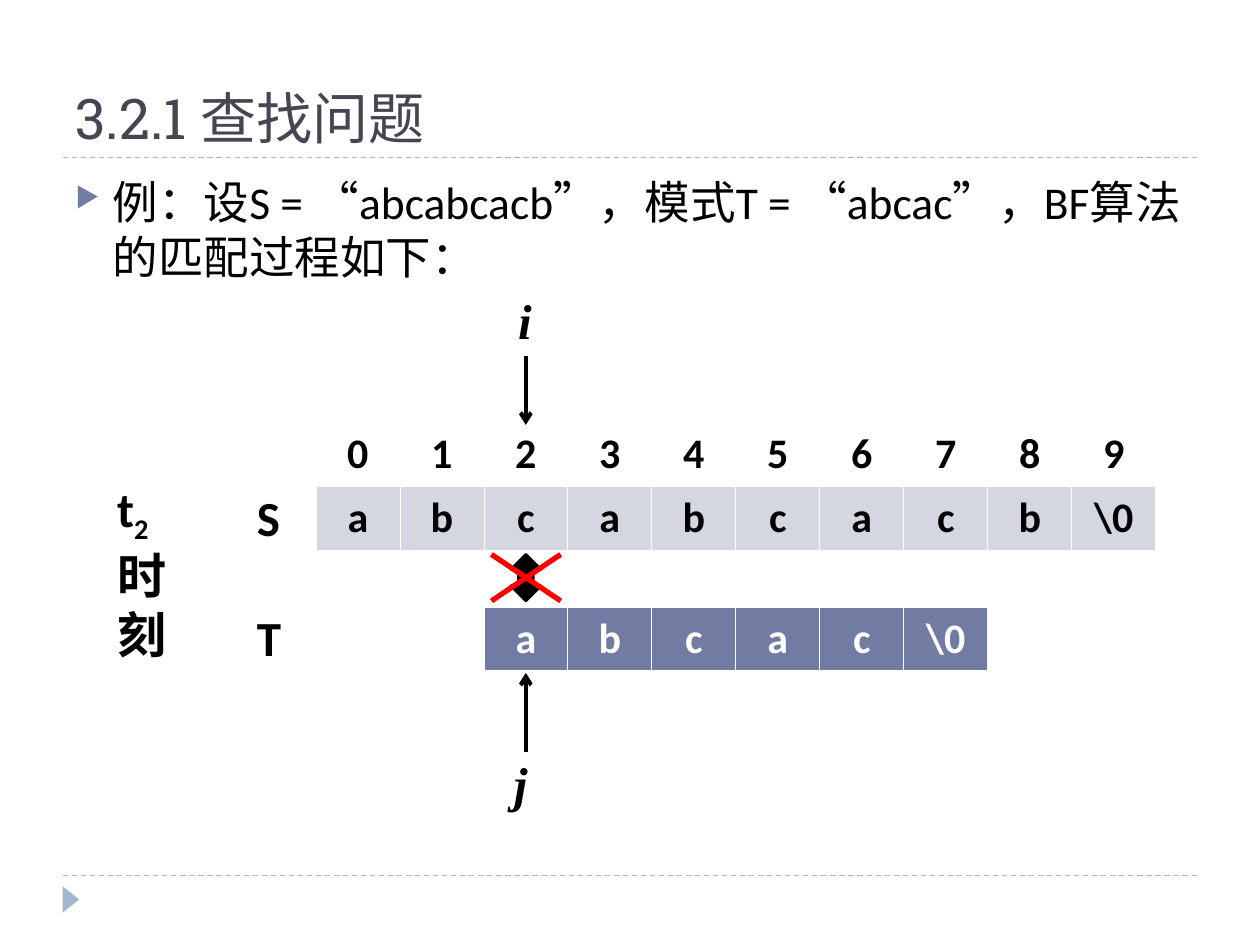
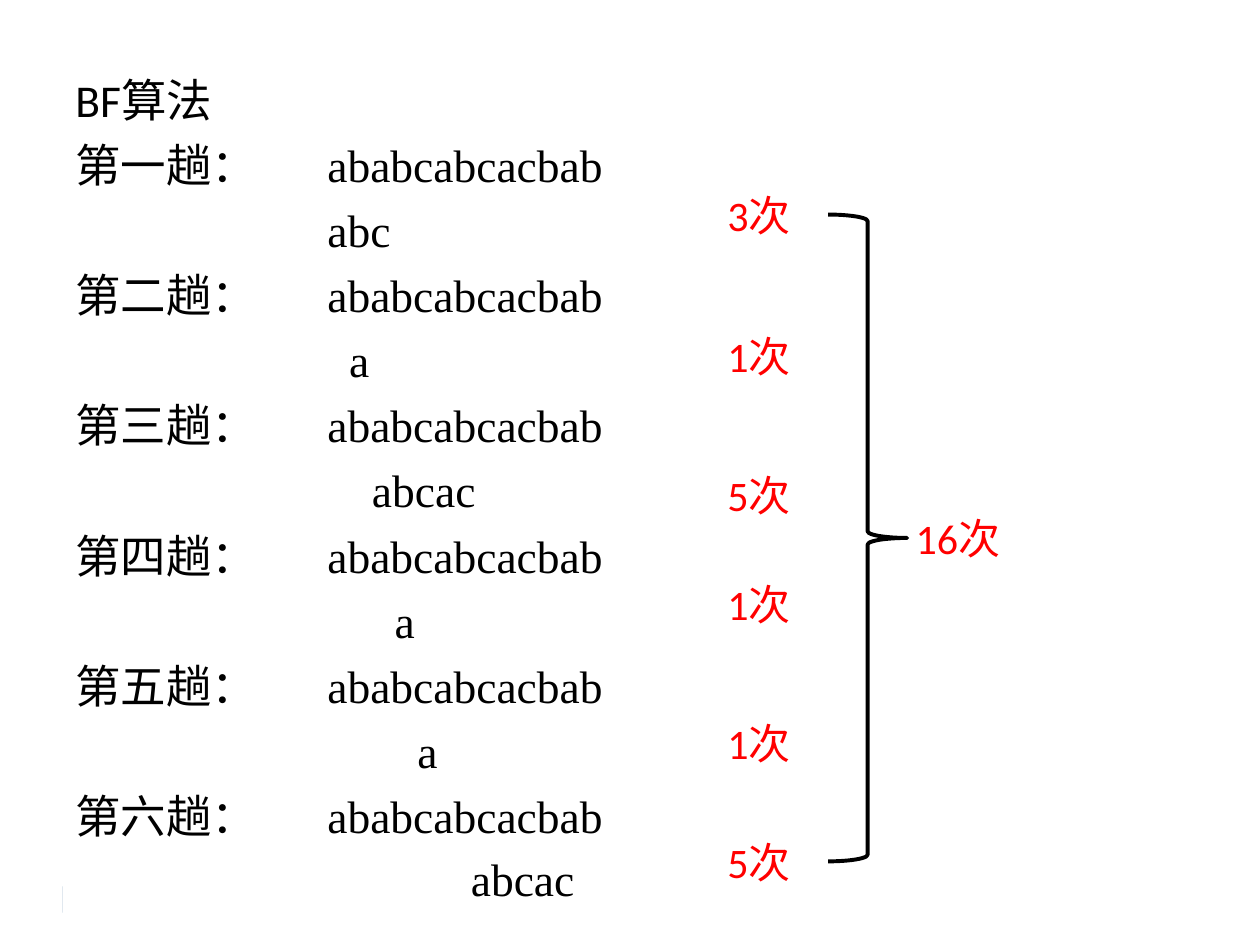
from dataclasses import dataclass

from lxml.etree import SubElement
from pptx import Presentation
from pptx.dml.color import RGBColor
from pptx.enum.dml import MSO_LINE
from pptx.enum.shapes import MSO_CONNECTOR, MSO_SHAPE
from pptx.enum.text import MSO_ANCHOR, MSO_AUTO_SIZE, PP_ALIGN
from pptx.oxml.ns import qn
from pptx.util import Pt

COLORS = {
    "black": "000000",
    "white": "FFFFFF",
    "red": "FF0000",
    "title": "464653",
    "accent": "727CA3",
    "frame": "9FB8CD",
    "pale": "D5D7E0",
}

TITLE = {"name": "Roboto Slab", "size": Pt(32), "color": "title"}
BODY = {"name": "Calibri", "size": Pt(26), "color": "black"}
SERIF = {**BODY, "name": "Times New Roman"}
LABEL = {"name": "Calibri", "size": Pt(28), "bold": True, "color": "black"}
POINTER = {**LABEL, "name": "Times New Roman", "italic": True}
CELL = {"name": "Calibri", "size": Pt(24), "bold": True, "color": "black"}
CELL_LIGHT = {**CELL, "color": "white"}
COUNT = {"name": "Calibri", "size": Pt(24), "color": "red"}

CELL_WIDTH, CELL_HEIGHT = 48, 36
GRID_LEFT, S_TOP, T_TOP = 180.5, 241.2, 347
MATCH_START = 2
POINTER_X = GRID_LEFT + (MATCH_START + 0.5) * CELL_WIDTH
THIN_BORDER, THICK_BORDER = 0.45, 1.47
STRING_TAB, SHIFT_START, SHIFT_STEP = 144, 143.5, 13


@dataclass
class Box:
    left: float
    top: float
    width: float
    height: float

    def lengths(self) -> tuple:
        return tuple(Pt(value) for value in (self.left, self.top, self.width, self.height))


@dataclass
class Label:
    lines: list[str]
    box: Box
    formats: dict
    wrap: bool = False


@dataclass
class Line:
    start: tuple[float, float]
    end: tuple[float, float]
    color: str
    width: float
    dashed: bool = False
    arrow: bool = False


@dataclass
class Attempt:
    """One pass of the search: its name, the characters compared, their indent in points."""
    name: str
    compared: str
    indent: float


@dataclass
class StringGrid:
    left: float
    top: float
    rows: list[list[str]]
    fills: list[str]
    formats: dict


FRAME_LINES = [Line((36, y), (684, y), "frame", 0.75, dashed=True) for y in (90, 500.4)]

MATCH_GRIDS = [
    StringGrid(GRID_LEFT, S_TOP, [list("0123456789"), [*"abcabcacb", r"\0"]],
               ["white", "pale"], CELL),
    StringGrid(GRID_LEFT + MATCH_START * CELL_WIDTH, T_TOP, [[*"abcac", r"\0"]],
               ["accent"], CELL_LIGHT),
]

MATCH_LABELS = [
    Label(["S"], Box(139.7, 275.2, 27.4, 41), LABEL),
    Label(["T"], Box(139.7, 343.6, 28, 41), LABEL),
    Label(["j"], Box(286.6, 427.3, 22.3, 41), POINTER, wrap=True),
    Label(["i"], Box(289, 162.7, 22.3, 41), POINTER, wrap=True),
]

MATCH_LINES = [
    Line((280.8, 316.8), (320.4, 343.4), "red", 3),
    Line((320.4, 316.8), (280.8, 343.4), "red", 3),
    Line((POINTER_X, 430), (POINTER_X, 384.5), "black", 2.25, arrow=True),
    Line((POINTER_X, 203.2), (POINTER_X, 242.8), "black", 2.25, arrow=True),
]

ATTEMPTS = [
    Attempt("第一趟：", "abc", STRING_TAB),
    Attempt("第二趟：", "a", SHIFT_START + SHIFT_STEP),
    Attempt("第三趟：", "abcac", SHIFT_START + 2 * SHIFT_STEP),
    Attempt("第四趟：", "a", SHIFT_START + 3 * SHIFT_STEP),
    Attempt("第五趟：", "a", SHIFT_START + 4 * SHIFT_STEP),
    Attempt("第六趟：", "abcac", 226),
]

COUNT_LABELS = [
    Label([f"{count}次"], Box(408.5, top, 56.2, 36), COUNT)
    for count, top in ((3, 104.7), (1, 185.3), (5, 264.5), (1, 327.2), (1, 406.3), (5, 474.7))
] + [Label(["16次"], Box(516.2, 289.4, 68.4, 36), COUNT)]


def color_of(name: str) -> RGBColor:
    return RGBColor.from_string(COLORS[name])


def add_run(paragraph, text: str, formats: dict):
    run = paragraph.add_run()
    run.text = text
    for attribute, value in formats.items():
        if attribute == "color":
            run.font.color.rgb = color_of(value)
        else:
            setattr(run.font, attribute, value)
    return run


def set_indent(paragraph, margin: float, first_line: float = 0) -> None:
    properties = paragraph._p.get_or_add_pPr()
    properties.set("marL", str(Pt(margin)))
    properties.set("indent", str(Pt(first_line)))


def add_bullet(paragraph) -> None:
    properties = paragraph._p.get_or_add_pPr()
    bullet_color = SubElement(properties, qn("a:buClr"))
    SubElement(bullet_color, qn("a:srgbClr")).set("val", COLORS["accent"])
    SubElement(properties, qn("a:buSzPct")).set("val", "61000")
    SubElement(properties, qn("a:buChar")).set("char", "▶")


def add_tab_stop(paragraph, position: float) -> None:
    tab_list = SubElement(paragraph._p.get_or_add_pPr(), qn("a:tabLst"))
    tab = SubElement(tab_list, qn("a:tab"))
    tab.set("pos", str(Pt(position)))
    tab.set("algn", "l")


def add_text_frame(slide, box: Box, wrap: bool = True, grow: bool = False):
    frame = slide.shapes.add_textbox(*box.lengths()).text_frame
    frame.word_wrap = wrap
    frame.auto_size = MSO_AUTO_SIZE.SHAPE_TO_FIT_TEXT if grow else MSO_AUTO_SIZE.NONE
    return frame


def next_paragraph(frame, space_before: float = 0):
    """Return the empty first paragraph, or a new one with space before it."""
    if not frame.paragraphs[0].runs:
        return frame.paragraphs[0]
    paragraph = frame.add_paragraph()
    paragraph.space_before = Pt(space_before)
    return paragraph


def add_label(slide, label: Label):
    frame = add_text_frame(slide, label.box, label.wrap, grow=True)
    for line in label.lines:
        add_run(next_paragraph(frame), line, label.formats)
    return frame


def add_line(slide, line: Line) -> None:
    points = (Pt(value) for value in (*line.start, *line.end))
    connector = slide.shapes.add_connector(MSO_CONNECTOR.STRAIGHT, *points)
    connector.line.color.rgb = color_of(line.color)
    connector.line.width = Pt(line.width)
    if line.dashed:
        connector.line.dash_style = MSO_LINE.DASH
    if line.arrow:
        SubElement(connector.line._get_or_add_ln(), qn("a:tailEnd")).set("type", "arrow")
    SubElement(connector._element.spPr, qn("a:effectLst"))


def add_solid_shape(slide, kind: MSO_SHAPE, box: Box, color: str, outline: float = 0):
    shape = slide.shapes.add_shape(kind, *box.lengths())
    shape.shadow.inherit = False
    shape.fill.solid()
    shape.fill.fore_color.rgb = color_of(color)
    if outline:
        shape.line.color.rgb = color_of(color)
        shape.line.width = Pt(outline)
    else:
        shape.line.fill.background()
    return shape


def add_cell_borders(cell, row_index: int) -> None:
    """Draw white borders, thicker between the first row and the second."""
    thick_side = "B" if row_index == 0 else "T"
    for side in "LRTB":
        border = SubElement(cell._tc.get_or_add_tcPr(), qn(f"a:ln{side}"))
        border.set("w", str(Pt(THICK_BORDER if side == thick_side else THIN_BORDER)))
        fill = SubElement(border, qn("a:solidFill"))
        SubElement(fill, qn("a:srgbClr")).set("val", COLORS["white"])


def add_string_grid(slide, grid: StringGrid) -> None:
    row_count, column_count = len(grid.rows), len(grid.rows[0])
    box = Box(grid.left, grid.top, column_count * CELL_WIDTH, row_count * CELL_HEIGHT)
    table = slide.shapes.add_table(row_count, column_count, *box.lengths()).table
    table.first_row = table.horz_banding = False
    for row_index, characters in enumerate(grid.rows):
        for column_index, character in enumerate(characters):
            cell = table.cell(row_index, column_index)
            add_cell_borders(cell, row_index)
            cell.fill.solid()
            cell.fill.fore_color.rgb = color_of(grid.fills[row_index])
            cell.vertical_anchor = MSO_ANCHOR.MIDDLE
            paragraph = cell.text_frame.paragraphs[0]
            paragraph.alignment = PP_ALIGN.CENTER
            add_run(paragraph, character, grid.formats)


def set_title(slide, text: str) -> None:
    title = slide.shapes.title
    title.left, title.top, title.width, title.height = Box(36, 12.2, 648, 77.8).lengths()
    title.text_frame.vertical_anchor = MSO_ANCHOR.BOTTOM
    title.text_frame.auto_size = MSO_AUTO_SIZE.NONE
    paragraph = title.text_frame.paragraphs[0]
    paragraph.alignment = PP_ALIGN.LEFT
    add_run(paragraph, text, TITLE)


def add_footer_marker(slide) -> None:
    marker = add_solid_shape(slide, MSO_SHAPE.ISOSCELES_TRIANGLE, Box(33, 509.3, 15.1, 9.4), "frame")
    marker.rotation = 90


def add_panel(slide, box: Box):
    """Add a white panel and return its text frame, set for left-aligned text from the top."""
    frame = add_solid_shape(slide, MSO_SHAPE.RECTANGLE, box, "white").text_frame
    frame.word_wrap = True
    frame.vertical_anchor = MSO_ANCHOR.TOP
    return frame


def build_match_slide(presentation) -> None:
    slide = presentation.slides.add_slide(presentation.slide_layouts[5])
    for line in FRAME_LINES:
        add_line(slide, line)
    add_footer_marker(slide)
    set_title(slide, "3.2.1 查找问题")

    example = add_text_frame(slide, Box(36, 96, 648, 388.8)).paragraphs[0]
    set_indent(example, 21.3, -21.3)
    add_bullet(example)
    add_run(example, "例：设S = “abcabcacb”，模式T = “abcac”，BF算法的匹配过程如下：", BODY)

    for grid in MATCH_GRIDS:
        add_string_grid(slide, grid)
    for label in MATCH_LABELS:
        add_label(slide, label)
    moment = add_label(slide, Label(["t", "时", "刻"], Box(59.8, 270, 42.5, 113), LABEL))
    subscript = add_run(moment.paragraphs[0], "2", LABEL)
    subscript.font._element.set("baseline", "-25000")

    add_solid_shape(slide, MSO_SHAPE.UP_DOWN_ARROW,
                    Box(POINTER_X - 8.6, 316.8, 17.2, 26.6), "black", 1.5)
    for line in MATCH_LINES:
        add_line(slide, line)


def build_count_slide(presentation) -> None:
    slide = presentation.slides.add_slide(presentation.slide_layouts[6])
    add_footer_marker(slide)
    frame = add_panel(slide, Box(36, 37.6, 648, 487.4))
    add_run(next_paragraph(frame), "BF算法", BODY)
    for attempt in ATTEMPTS:
        heading = next_paragraph(frame, space_before=6)
        add_tab_stop(heading, STRING_TAB)
        add_run(heading, f"{attempt.name}\t", BODY)
        add_run(heading, "ababcabcacbab", SERIF)
        comparison = next_paragraph(frame, space_before=5 if attempt is ATTEMPTS[-1] else 6)
        set_indent(comparison, attempt.indent)
        add_run(comparison, attempt.compared, SERIF)
    for paragraph in frame.paragraphs:
        paragraph.alignment = PP_ALIGN.LEFT

    for label in COUNT_LABELS:
        add_label(slide, label)
    brace = add_solid_shape(slide, MSO_SHAPE.RIGHT_BRACE, Box(473.2, 122.6, 45.2, 369.6), "black", 2.25)
    brace.fill.background()


def main() -> None:
    presentation = Presentation()
    presentation.slide_width, presentation.slide_height = Pt(720), Pt(540)
    build_match_slide(presentation)
    build_count_slide(presentation)
    presentation.save("out.pptx")


if __name__ == "__main__":
    main()
